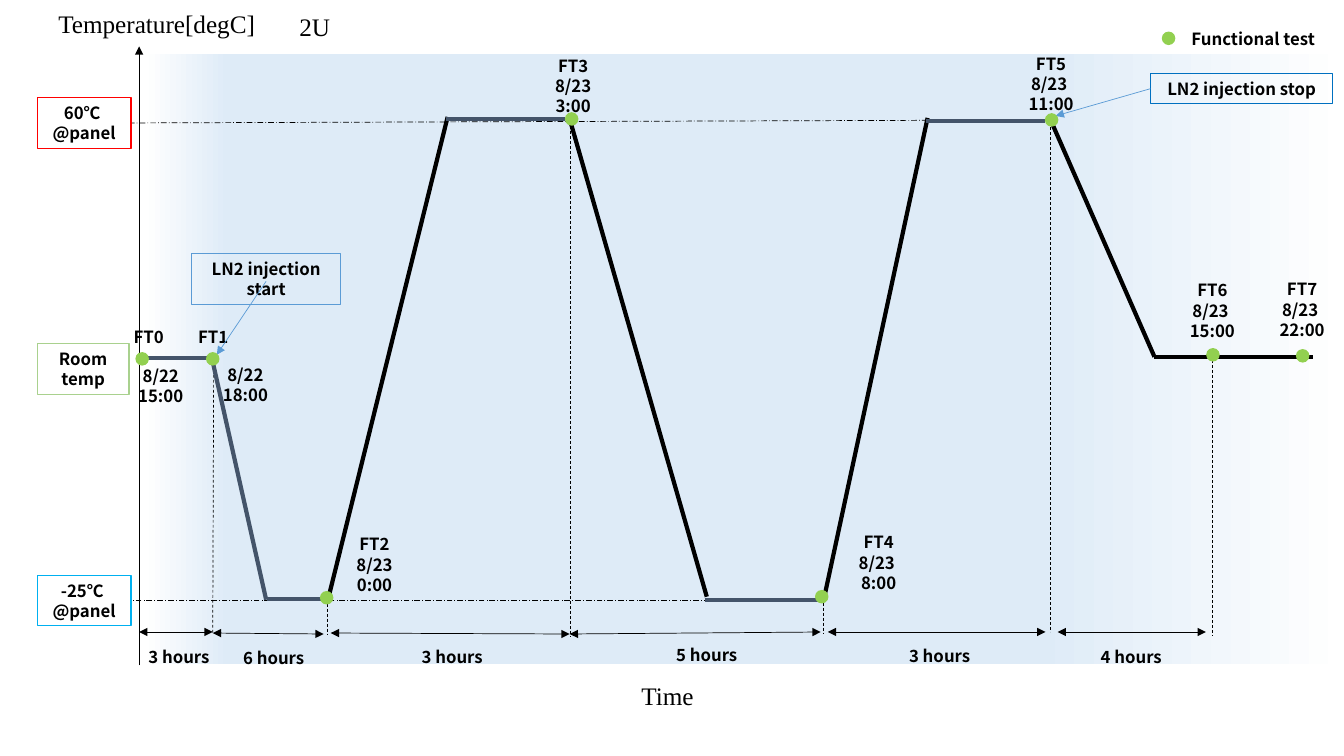
from copy import deepcopy

from lxml.etree import SubElement
from pptx import Presentation
from pptx.dml.color import RGBColor
from pptx.enum.dml import MSO_LINE
from pptx.enum.shapes import MSO_CONNECTOR, MSO_SHAPE
from pptx.enum.text import MSO_ANCHOR, PP_ALIGN
from pptx.oxml.ns import qn
from pptx.util import Inches, Pt

BLACK = RGBColor(0x00, 0x00, 0x00)
WHITE = RGBColor(0xFF, 0xFF, 0xFF)
PALE_BLUE = RGBColor(0xDE, 0xEB, 0xF7)
SLATE = RGBColor(0x44, 0x54, 0x6A)
SKY = RGBColor(0x5B, 0x9B, 0xD5)
BLUE = RGBColor(0x00, 0x70, 0xC0)
CYAN = RGBColor(0x00, 0xB0, 0xF0)
RED = RGBColor(0xFF, 0x00, 0x00)
LEAF = RGBColor(0xA9, 0xD1, 0x8E)
GREEN = RGBColor(0x92, 0xD0, 0x50)
LABEL_FONT, AXIS_FONT = "Noto Sans CJK JP", "Times New Roman"
DOT_SIZE = 0.12
LINE_HEIGHT = 0.2

# Background gradient: position from left to right, colour
CHAMBER_STOPS = [(0, WHITE), (0.07, PALE_BLUE), (0.74, PALE_BLUE), (1, WHITE)]

# Lines: start x, start y, end x, end y
LEVEL_LINES = [(8.1, 5.96, 1.3, 5.96), (10.37, 1.19, 1.3, 1.22)]
TEMPERATURE_AXIS = (1.38, 6.6, 1.38, 0.46)
TIME_MARKS = [
    (2.12, 3.57, 2.11, 6.28), (3.25, 5.94, 3.25, 6.3), (5.66, 1.15, 5.66, 6.31),
    (8.17, 5.93, 8.17, 6.29), (10.42, 1.21, 10.42, 6.27), (12.02, 3.57, 12.02, 6.31),
]
CALLOUT_ARROWS = [(2.64, 2.79, 2.15, 3.52), (11.41, 0.88, 10.47, 1.15)]
PROFILE = [
    (SLATE, 1.38, 3.55, 2.11, 3.55), (BLACK, 11.45, 3.54, 13.02, 3.54),
    (BLACK, 4.44, 1.16, 3.25, 5.96), (SLATE, 2.11, 3.59, 2.64, 5.95),
    (SLATE, 2.65, 5.94, 3.28, 5.94), (SLATE, 4.42, 1.18, 5.6, 1.18),
    (BLACK, 5.65, 1.18, 7.01, 5.92), (SLATE, 6.99, 5.95, 8.17, 5.95),
    (BLACK, 9.2, 1.17, 8.17, 5.95), (SLATE, 9.18, 1.2, 10.36, 1.2),
    (BLACK, 10.42, 1.19, 11.45, 3.54),
]

# Durations: text, arrow line, label left, top and width
DURATIONS = [
    ("3 hours", (2.11, 6.27, 1.38, 6.27), 1.34, 6.37, 0.87),
    ("6 hours", (3.21, 6.29, 2.11, 6.28), 2.28, 6.38, 0.87),
    ("3 hours", (5.65, 6.29, 3.28, 6.28), 3.96, 6.37, 1.05),
    ("5 hours", (8.14, 6.27, 5.65, 6.29), 6.49, 6.35, 1.04),
    ("3 hours", (10.37, 6.27, 8.21, 6.27), 8.8, 6.36, 1.04),
    ("4 hours", (11.96, 6.27, 10.49, 6.27), 10.7, 6.37, 1.04),
]

# Labels: lines of text, left, top, width
TEST_LABELS = [
    (["FT0"], 1.04, 3.19, 0.87), (["8/22", "15:00"], 1.03, 3.58, 1.13),
    (["FT1"], 1.68, 3.19, 0.87), (["8/22", "18:00"], 1.87, 3.57, 1.13),
    (["FT2", "8/23", "0:00"], 3.28, 5.25, 0.87),
    (["FT3", "8/23", "3:00"], 5.25, 0.5, 0.87),
    (["FT4", "8/23 ", "8:00"], 8.14, 5.23, 1.15),
    (["FT5", "8/23 ", "11:00"], 9.99, 0.48, 0.87),
    (["FT6", "8/23 ", "15:00"], 11.59, 2.73, 0.87),
    (["FT7", "8/23 ", "22:00"], 12.48, 2.72, 0.87),
    (["Functional test"], 11.64, 0.24, 1.58),
]
# Boxes: lines of text, outline colour, left, top, width, height
BOXES = [
    (["60℃ ", "@panel"], RED, 0.37, 0.97, 0.93, 0.5),
    (["Room temp"], LEAF, 0.37, 3.41, 0.91, 0.5),
    (["-25℃ ", "@panel"], CYAN, 0.37, 5.71, 0.93, 0.5),
    (["LN2 injection start"], SKY, 1.9, 2.52, 1.48, 0.5),
    (["LN2 injection stop"], BLUE, 11.41, 0.73, 1.81, 0.3),
]
# Axis titles: text, left, top, width, alignment
TITLES = [
    ("Temperature[degC]", 0.48, 0.03, 2.24, PP_ALIGN.LEFT),
    ("Time", 5.5, 6.7, 2.24, PP_ALIGN.CENTER),
    ("2U", 2.87, 0.06, 1.09, PP_ALIGN.LEFT),
]
# Test dots: left, top; the first belongs to the legend
DOTS = [(11.53, 0.32), (1.35, 3.5), (2.05, 3.5), (3.18, 5.87), (5.61, 1.12),
        (8.09, 5.86), (10.37, 1.13), (11.97, 3.46), (12.86, 3.47)]


def add_line(slide, ends, color=BLACK, width=0.5, dash=None, arrows=()):
    """Draw a straight line; arrows names the ends that carry a triangle."""
    connector = slide.shapes.add_connector(MSO_CONNECTOR.STRAIGHT, *map(Inches, ends))
    connector.line.color.rgb = color
    connector.line.width = Pt(width)
    if dash is not None:
        connector.line.dash_style = dash
    outline = connector.line._get_or_add_ln()
    for end in arrows:
        SubElement(outline, qn(f"a:{end}"), type="triangle")
    SubElement(connector._element.spPr, qn("a:effectLst"))


def add_preset(slide, preset, area, fill=None, outline=None, width=0.75):
    """Add a shadowless preset shape with optional fill and outline."""
    shape = slide.shapes.add_shape(preset, *map(Inches, area))
    shape.shadow.inherit = False
    if fill is None:
        shape.fill.background()
    else:
        shape.fill.solid()
        shape.fill.fore_color.rgb = fill
    if outline is None:
        shape.line.fill.background()
    else:
        shape.line.color.rgb = outline
        shape.line.width = Pt(width)
    return shape


def write(shape, lines, font=LABEL_FONT, size=12, bold=True, align=PP_ALIGN.CENTER):
    """Write one paragraph for each line of text."""
    frame = shape.text_frame
    frame.word_wrap = True
    for index, line in enumerate(lines):
        paragraph = frame.add_paragraph() if index else frame.paragraphs[0]
        paragraph.alignment = align
        run = paragraph.add_run()
        run.text = line
        run.font.name = font
        run.font.size = Pt(size)
        run.font.bold = bold
        run.font.color.rgb = BLACK
        SubElement(run._r.get_or_add_rPr(), qn("a:ea"), typeface=font)


def add_label(slide, lines, left, top, width, height=None, **style):
    """Add a text box, as tall as its lines need unless a height is given."""
    height = height or 0.1 + LINE_HEIGHT * len(lines)
    box = slide.shapes.add_textbox(*map(Inches, (left, top, width, height)))
    box.text_frame.vertical_anchor = MSO_ANCHOR.TOP
    write(box, lines, **style)


def add_chamber(slide):
    """Add the background that fades to white at both sides."""
    chamber = add_preset(slide, MSO_SHAPE.RECTANGLE, (1.43, 0.54, 11.94, 6.05))
    chamber.fill.gradient()
    chamber.fill.gradient_angle = 0
    stop_list = chamber._element.spPr.find(".//" + qn("a:gsLst"))
    for _ in range(len(CHAMBER_STOPS) - len(stop_list)):
        stop_list.append(deepcopy(stop_list[0]))
    for stop, (position, color) in zip(chamber.fill.gradient_stops, CHAMBER_STOPS):
        stop.position = position
        stop.color.rgb = color


presentation = Presentation()
presentation.slide_width, presentation.slide_height = Inches(13.33), Inches(7.5)
slide = presentation.slides.add_slide(presentation.slide_layouts[6])

add_chamber(slide)
for ends in LEVEL_LINES:
    add_line(slide, ends, dash=MSO_LINE.LONG_DASH_DOT)
add_line(slide, TEMPERATURE_AXIS, arrows=["tailEnd"])
for ends in TIME_MARKS:
    add_line(slide, ends, dash=MSO_LINE.DASH)
for text, ends, left, top, width in DURATIONS:
    add_line(slide, ends, arrows=["headEnd", "tailEnd"])
    add_label(slide, [text], left, top, width)
for lines, left, top, width in TEST_LABELS:
    add_label(slide, lines, left, top, width)
for lines, outline, *area in BOXES:
    box = add_preset(slide, MSO_SHAPE.RECTANGLE, area, outline=outline)
    box.text_frame.vertical_anchor = MSO_ANCHOR.MIDDLE
    write(box, lines)
for ends in CALLOUT_ARROWS:
    add_line(slide, ends, color=SKY, arrows=["tailEnd"])
for color, *ends in PROFILE:
    add_line(slide, ends, color=color, width=3)
for left, top in DOTS:
    add_preset(slide, MSO_SHAPE.FLOWCHART_CONNECTOR, (left, top, DOT_SIZE, DOT_SIZE),
               fill=GREEN, outline=GREEN, width=1)
for text, left, top, width, align in TITLES:
    add_label(slide, [text], left, top, width, 0.4,
              font=AXIS_FONT, size=18, bold=False, align=align)

presentation.save("out.pptx")
